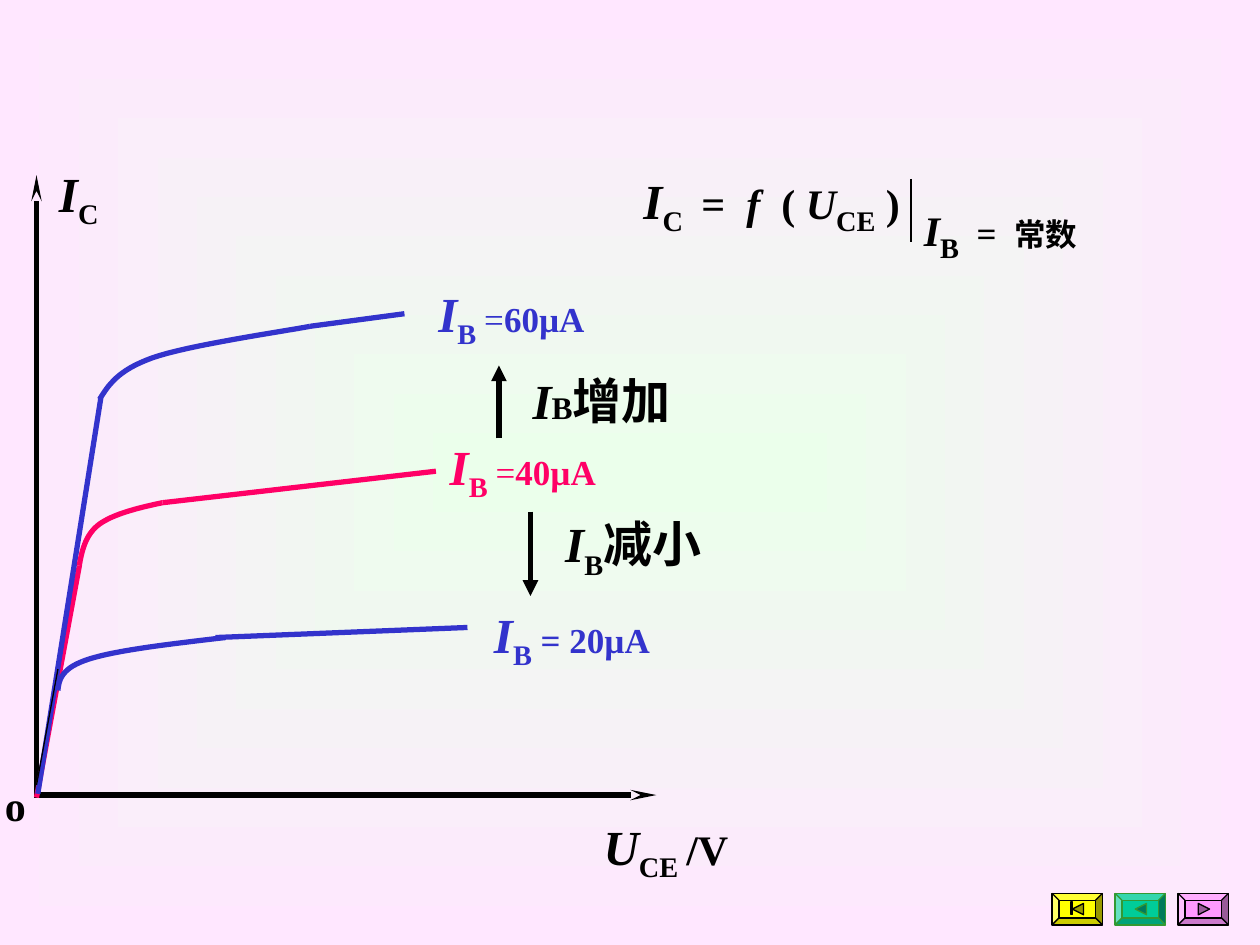
"""Build the transistor output characteristics slide."""
from dataclasses import dataclass

from lxml import etree
from pptx import Presentation
from pptx.dml.color import RGBColor
from pptx.enum.shapes import MSO_CONNECTOR, MSO_SHAPE
from pptx.enum.text import MSO_ANCHOR, MSO_AUTO_SIZE, PP_ALIGN
from pptx.oxml.ns import qn
from pptx.shapes.base import BaseShape
from pptx.slide import Slide
from pptx.util import Inches, Pt

STRAIGHT = MSO_CONNECTOR.STRAIGHT
BEVEL = MSO_SHAPE.BEVEL
TRIANGLE = MSO_SHAPE.ISOSCELES_TRIANGLE
RECTANGLE = MSO_SHAPE.RECTANGLE
MIDDLE = MSO_ANCHOR.MIDDLE
FIT_TEXT = MSO_AUTO_SIZE.SHAPE_TO_FIT_TEXT
CENTER = PP_ALIGN.CENTER
HEADS = {
    "stealth": {"type": "stealth", "w": "sm", "len": "lg"},
    "triangle": {"type": "triangle"},
}
Point = tuple[float, float]


@dataclass(frozen=True)
class Theme:
    """Colours, font and sizes of the deck."""
    font: str = "Times New Roman"
    center: str = "EBFFEB"
    edge: str = "FFE7FF"
    ink: str = "000000"
    blue: str = "3333CC"
    red: str = "FF0066"
    symbol: int = 28
    formula: int = 24
    value: int = 20
    small: int = 18
    thick: float = 3
    thin: float = 0.75


@dataclass(frozen=True)
class Span:
    """A piece of label text with its format."""
    text: str
    size: int
    italic: bool = False
    bold: bool = True
    lowered: bool = False


@dataclass(frozen=True)
class Label:
    """A centred text label."""
    left: float
    top: float
    width: float
    height: float
    spans: list[Span]
    color: str
    spacing: float = 1.0


@dataclass(frozen=True)
class Line:
    """A straight line with an optional arrowhead at its end."""
    start: Point
    end: Point
    color: str
    width: float = 3
    head: str = ""


@dataclass(frozen=True)
class Curve:
    """A chain of cubic segments, each of three points after the start."""
    start: Point
    segments: list[tuple[Point, Point, Point]]
    color: str


@dataclass(frozen=True)
class Button:
    """A bevelled navigation button."""
    fill: str
    icon: str
    line: str
    rotation: int
    bar: bool = False


THEME = Theme()


def symbol(letter: str, subscript: str, size: int = THEME.symbol) -> list[Span]:
    """Return an italic letter followed by its subscript."""
    return [Span(letter, size, italic=True), Span(subscript, THEME.symbol, lowered=True)]


BASE = symbol("I", "B")
GAP = Span(" ", THEME.small)
EQUALS = Span("=", THEME.value, bold=False)

LINES = [
    Line((0.29, 6.31), (5.21, 6.31), THEME.ink, head="stealth"),
    Line((0.29, 6.33), (0.29, 1.39), THEME.ink, head="stealth"),
    Line((0.29, 6.33), (0.63, 4.49), THEME.red),
    Line((1.29, 3.99), (3.46, 3.74), THEME.red),
    Line((0.3, 6.3), (0.8, 3.16), THEME.blue),
    Line((2.46, 2.59), (3.21, 2.49), THEME.blue),
    Line((3.96, 3.48), (3.96, 2.9), THEME.ink, head="triangle"),
    Line((4.21, 4.06), (4.21, 4.73), THEME.ink, head="triangle"),
    Line((0.29, 6.23), (0.46, 5.31), THEME.ink, THEME.thin),
    Line((1.71, 5.06), (3.71, 4.98), THEME.blue),
    Line((7.23, 1.42), (7.23, 1.92), THEME.ink, THEME.thin),
]
CURVES = [
    Curve((0.63, 4.49), [((0.65, 4.37), (0.68, 4.24), (0.79, 4.16)),
                         ((0.9, 4.08), (1.1, 4.03), (1.29, 3.99))], THEME.red),
    Curve((0.79, 3.17), [((0.86, 3.06), (0.93, 2.94), (1.21, 2.84)),
                         ((1.49, 2.74), (2.25, 2.63), (2.46, 2.59))], THEME.blue),
    Curve((0.46, 5.48), [((0.47, 5.39), (0.49, 5.3), (0.71, 5.23)),
                         ((0.93, 5.16), (1.36, 5.11), (1.79, 5.06))], THEME.blue),
]
LABELS = [
    Label(4.69, 6.43, 1.19, 0.63, symbol("U", "CE") + [
        Span(" ", THEME.small, bold=False), Span("/V", THEME.formula)], THEME.ink),
    Label(3.47, 3.36, 1.36, 0.69,
          BASE + [GAP, EQUALS, Span("40µA", THEME.value)], THEME.red, 1.1),
    Label(3.38, 2.2, 1.36, 0.63,
          BASE + [GAP, EQUALS, Span("60µA", THEME.value)], THEME.blue),
    Label(3.82, 4.75, 1.44, 0.63, BASE + [
        Span(" ", THEME.value, italic=True), Span("= 20µA", THEME.value)], THEME.blue),
    Label(-0.06, 6.14, 0.36, 0.5, [Span("o", THEME.formula)], THEME.ink),
    Label(0.35, 1.25, 0.55, 0.63, symbol("I", "C"), THEME.ink),
    Label(4.07, 2.89, 1.41, 0.57, [
        Span("I", THEME.symbol, italic=True), Span("B", THEME.small),
        Span("增加", THEME.symbol)], THEME.ink),
    Label(4.34, 4.03, 1.37, 0.63, BASE + [Span("减小", THEME.symbol)], THEME.ink),
    Label(7.2, 1.52, 1.48, 0.63, symbol("I", "B", THEME.formula) + [
        Span("  =  ", THEME.value), Span("常数", THEME.small)], THEME.ink),
    Label(4.98, 1.3, 2.29, 0.63, symbol("I", "C") + [
        GAP, Span(" =  ", THEME.formula), Span("f", THEME.formula, italic=True),
        Span("  ( ", THEME.formula)] + symbol("U", "CE", THEME.formula) + [
        Span(" )", THEME.formula)], THEME.ink),
]
BUTTONS = [
    Button("FFFF00", "999900", THEME.ink, -90, bar=True),
    Button("00CC99", "007A5C", "339933", -90),
    Button("FF99FF", "995C99", THEME.ink, 90),
]


def paint_background(slide: Slide) -> None:
    """Fill the background with a gradient spreading from the centre."""
    fill = slide.background.fill
    fill.gradient()
    for stop, color in zip(fill.gradient_stops, (THEME.center, THEME.edge)):
        stop.color.rgb = RGBColor.from_string(color)
    gradient = next(slide.element.iter(qn("a:gradFill")))
    spread = etree.Element(qn("a:path"), {"path": "rect"})
    etree.SubElement(spread, qn("a:fillToRect"), dict.fromkeys("ltrb", "50000"))
    gradient.replace(gradient.find(qn("a:lin")), spread)


def style_line(shape: BaseShape, color: str, width: float) -> None:
    """Set the outline colour and width."""
    shape.line.color.rgb = RGBColor.from_string(color)
    shape.line.width = Pt(width)


def draw_line(slide: Slide, line: Line) -> None:
    """Draw a straight connector."""
    ends = [Inches(value) for value in line.start + line.end]
    connector = slide.shapes.add_connector(STRAIGHT, *ends)
    style_line(connector, line.color, line.width)
    properties = connector.element.spPr
    if line.head:
        etree.SubElement(properties.find(qn("a:ln")), qn("a:tailEnd"), HEADS[line.head])
    etree.SubElement(properties, qn("a:effectLst"))


def draw_curve(slide: Slide, curve: Curve, steps: int = 16) -> None:
    """Draw cubic segments as one open outline."""
    start, points = curve.start, []
    for first, second, end in curve.segments:
        for step in range(1, steps + 1):
            t = step / steps
            points.append(tuple(
                Inches((1 - t) ** 3 * a + 3 * (1 - t) ** 2 * t * b + 3 * (1 - t) * t * t * c + t ** 3 * d)
                for a, b, c, d in zip(start, first, second, end)))
        start = end
    builder = slide.shapes.build_freeform(*map(Inches, curve.start))
    builder.add_line_segments(points, close=False)
    shape = builder.convert_to_shape()
    shape.shadow.inherit = False
    shape.fill.background()
    style_line(shape, curve.color, THEME.thick)


def draw_label(slide: Slide, label: Label) -> None:
    """Draw a text box with formatted spans."""
    place = map(Inches, (label.left, label.top, label.width, label.height))
    frame = slide.shapes.add_textbox(*place).text_frame
    settings = {"word_wrap": False, "auto_size": FIT_TEXT, "vertical_anchor": MIDDLE}
    for name, value in settings.items():
        setattr(frame, name, value)
    para = frame.paragraphs[0]
    para.alignment, para.line_spacing = CENTER, label.spacing
    for span in label.spans:
        run = para.add_run()
        run.text = span.text
        formats = {"name": THEME.font, "size": Pt(span.size), "bold": span.bold, "italic": span.italic}
        for name, value in formats.items():
            setattr(run.font, name, value)
        run.font.color.rgb = RGBColor.from_string(label.color)
        if span.lowered:
            run.font._element.set("baseline", "-25000")


def draw_preset(slide: Slide, kind: int, place: tuple, fill: str, line: str) -> BaseShape:
    """Draw a filled preset shape."""
    shape = slide.shapes.add_shape(kind, *map(Inches, place))
    shape.shadow.inherit = False
    shape.fill.solid()
    shape.fill.fore_color.rgb = RGBColor.from_string(fill)
    style_line(shape, line, THEME.thin)
    return shape


def draw_button(slide: Slide, button: Button, left: float) -> None:
    """Draw a bevelled button with its icon."""
    bevel = draw_preset(slide, BEVEL, (left, 7.09, 0.4, 0.25), button.fill, button.line)
    bevel.adjustments[0] = 0.22
    icon = draw_preset(slide, TRIANGLE, (left + 0.16, 7.17, 0.09, 0.09), button.icon, button.line)
    icon.rotation = button.rotation
    if button.bar:
        draw_preset(slide, RECTANGLE, (left + 0.15, 7.16, 0.01, 0.1), button.icon, button.line)


def main() -> None:
    """Build and save the deck."""
    deck = Presentation()
    deck.slide_width, deck.slide_height = Inches(10), Inches(7.5)
    slide = deck.slides.add_slide(deck.slide_layouts[6])
    paint_background(slide)
    for draw, items in ((draw_line, LINES), (draw_curve, CURVES), (draw_label, LABELS)):
        for item in items:
            draw(slide, item)
    for index, button in enumerate(BUTTONS):
        draw_button(slide, button, 8.35 + 0.5 * index)
    deck.save("out.pptx")


if __name__ == "__main__":
    main()
